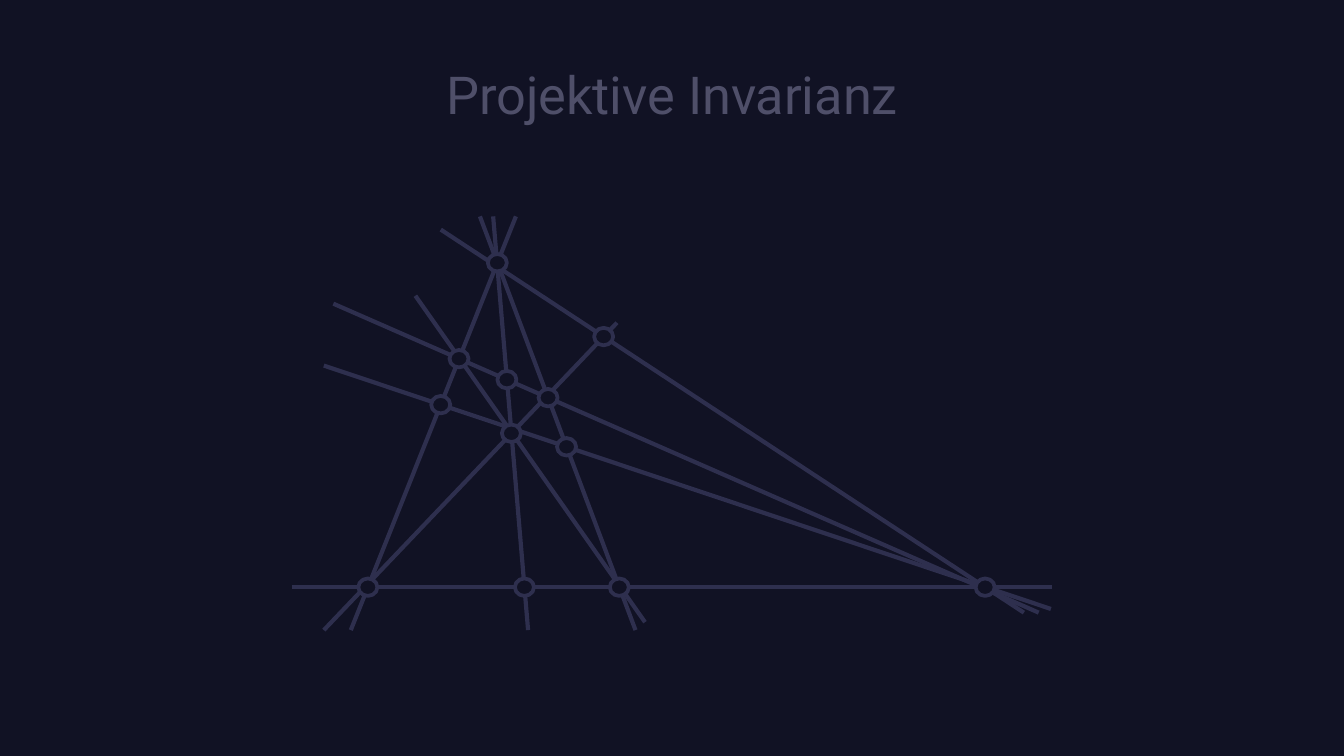
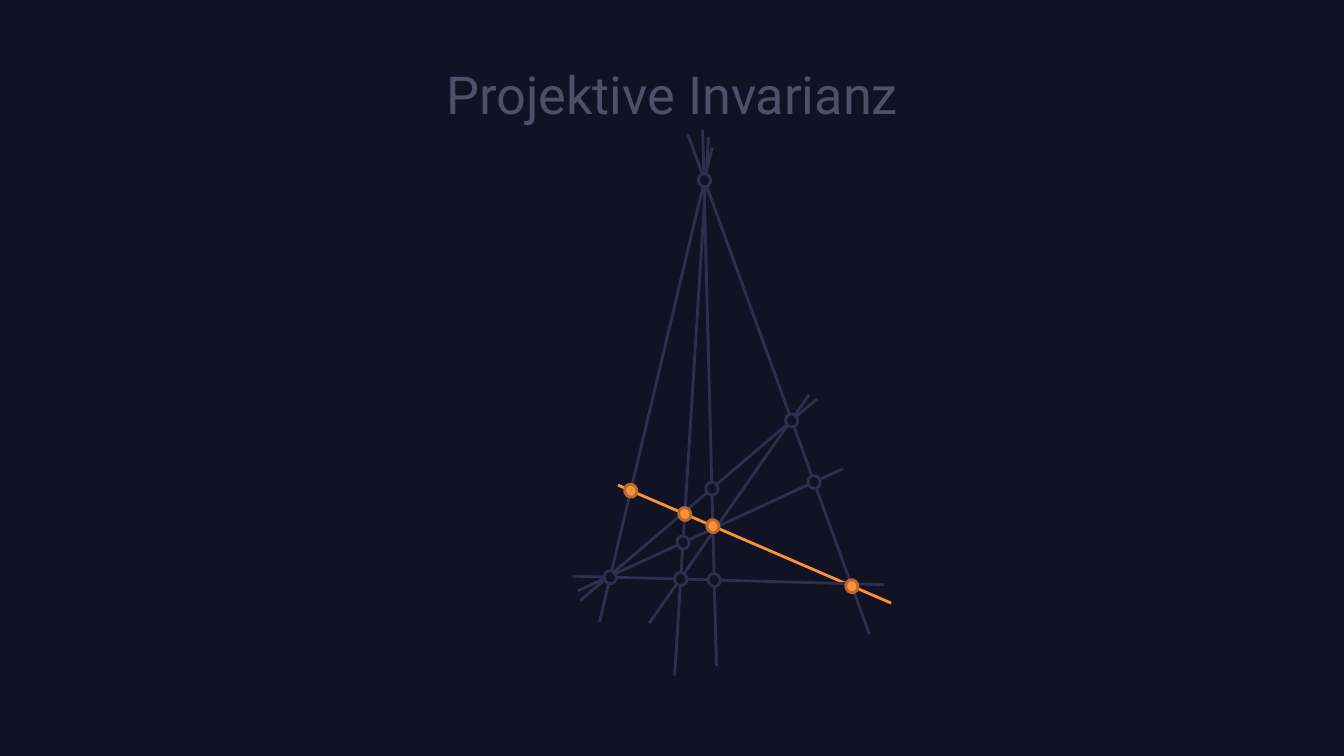
"""Build two slides on projective invariance."""
from dataclasses import dataclass

import pptx
import pptx.dml.color
import pptx.enum.shapes
import pptx.enum.text
import pptx.oxml
import pptx.util

Cm = pptx.util.Cm


@dataclass(frozen=True)
class Theme:
    """Colours, type and shared places."""
    background: str = "111224"
    line: str = "2E2F4E"
    title: str = "4F4F69"
    accent: str = "FB9237"
    accent_edge: str = "B96A26"
    font: str = "Roboto"
    title_size: float = 28
    title_box: tuple = (1.27, 0.58, 22.86, 2.39)


@dataclass(frozen=True)
class Figure:
    """Lines by name, the crossings to mark, and their drawing style."""
    box: tuple
    lines: dict
    crossings: list
    point_size: tuple
    line_width: float
    point_width: float
    rotation: float = 0
    thin: str = ""
    highlight: str = ""


THEME = Theme()

PERSPECTIVE = Figure(
    box=(5.51, 4.09),
    lines={
        "middle": (3.81, 0, 4.47, 7.82),
        "rising": (6.15, 2.01, 0.61, 7.82),
        "falling": (2.34, 1.5, 6.68, 7.67),
        "lower ray": (0.61, 2.82, 14.35, 7.42),
        "upper ray": (0.79, 1.65, 14.12, 7.49),
        "left": (4.24, 0, 1.12, 7.82),
        "right": (3.56, 0, 6.5, 7.82),
        "outer ray": (2.82, 0.25, 13.84, 7.49),
        "base": (0, 7.01, 14.38, 7.01),
    },
    crossings=[
        ("left", "right"), ("base", "outer ray"), ("base", "right"),
        ("base", "middle"), ("base", "left"), ("middle", "rising"),
        ("right", "lower ray"), ("left", "lower ray"), ("left", "upper ray"),
        ("middle", "upper ray"), ("right", "upper ray"),
        ("outer ray", "rising"),
    ],
    point_size=(0.36, 0.33), line_width=2.25, point_width=2, thin="base",
)

INVARIANCE = Figure(
    box=(10.82, 2.46),
    lines={
        "lower ray": (0.1, 8.71, 5.11, 6.4),
        "transversal": (0.86, 6.71, 6.02, 8.94),
        "diagonal": (1.45, 9.32, 4.47, 5),
        "inner right": (2.72, 10.13, 2.46, 0),
        "inner left": (1.93, 10.31, 2.57, 0.13),
        "base": (0, 8.43, 5.89, 8.59),
        "upper ray": (0.15, 8.89, 4.62, 5.08),
        "left": (0.51, 9.3, 2.64, 0.33),
        "right": (5.61, 9.53, 2.18, 0.08),
    },
    crossings=[
        ("left", "base"), ("left", "right"), ("right", "upper ray"),
        ("right", "lower ray"), ("right", "transversal"),
        ("inner right", "transversal"), ("inner right", "upper ray"),
        ("inner right", "base"), ("inner left", "base"),
        ("inner left", "lower ray"), ("inner left", "transversal"),
        ("left", "transversal"),
    ],
    point_size=(0.25, 0.23), line_width=1.5, point_width=1.5,
    rotation=250, highlight="transversal",
)


def rgb(value):
    """Return a colour object for a hex string."""
    return pptx.dml.color.RGBColor.from_string(value)


def style_line(line, color, width):
    """Set the colour and the width in points of a line."""
    line.color.rgb = rgb(color)
    line.width = pptx.util.Pt(width)


def add_text(slide, box, text, *, size, color, font):
    """Add centred text in the middle of a box."""
    shape = slide.shapes.add_textbox(*map(Cm, box))
    frame = shape.text_frame
    frame.word_wrap = True
    frame.vertical_anchor = pptx.enum.text.MSO_ANCHOR.MIDDLE
    paragraph = frame.paragraphs[0]
    paragraph.alignment = pptx.enum.text.PP_ALIGN.CENTER
    run = paragraph.add_run()
    run.text = text
    run.font.name = font
    run.font.size = pptx.util.Pt(size)
    run.font.color.rgb = rgb(color)


def add_line(group, ends, color, width):
    """Add a straight line without a shadow."""
    connector = group.shapes.add_connector(
        pptx.enum.shapes.MSO_CONNECTOR.STRAIGHT, *map(Cm, ends))
    style_line(connector.line, color, width)
    properties = connector._element.spPr
    properties.append(pptx.oxml.parse_xml(
        '<a:effectLst xmlns:a='
        '"http://schemas.openxmlformats.org/drawingml/2006/main"/>'))


def add_point(group, center, figure, fill, edge):
    """Add a round mark about a centre."""
    width, height = figure.point_size
    shape = group.shapes.add_shape(
        pptx.enum.shapes.MSO_SHAPE.OVAL, Cm(center[0] - width / 2),
        Cm(center[1] - height / 2), Cm(width), Cm(height))
    shape.shadow.inherit = False
    shape.rotation = figure.rotation
    shape.fill.solid()
    shape.fill.fore_color.rgb = rgb(fill)
    style_line(shape.line, edge, figure.point_width)


def intersect(first, second):
    """Return the point where two lines cross."""
    x1, y1, x2, y2 = first
    x3, y3, x4, y4 = second
    dx, dy, ex, ey = x2 - x1, y2 - y1, x4 - x3, y4 - y3
    share = ((x3 - x1) * ey - (y3 - y1) * ex) / (dx * ey - dy * ex)
    return x1 + share * dx, y1 + share * dy


def add_figure(slide, figure):
    """Draw a figure's lines and mark their crossings."""
    left, top = figure.box
    group = slide.shapes.add_group_shape()
    placed = {name: (x1 + left, y1 + top, x2 + left, y2 + top)
              for name, (x1, y1, x2, y2) in figure.lines.items()}
    for name, ends in placed.items():
        color = THEME.accent if name == figure.highlight else THEME.line
        width = figure.point_width if name == figure.thin else figure.line_width
        add_line(group, ends, color, width)
    for names in figure.crossings:
        colors = (THEME.background, THEME.line)
        if figure.highlight in names:
            colors = (THEME.accent, THEME.accent_edge)
        center = intersect(*(placed[name] for name in names))
        add_point(group, center, figure, *colors)


def add_figure_slide(presentation, title, figure):
    """Add a dark slide with a title and a figure."""
    slide = presentation.slides.add_slide(presentation.slide_layouts[6])
    slide.background.fill.solid()
    slide.background.fill.fore_color.rgb = rgb(THEME.background)
    add_text(slide, THEME.title_box, title, size=THEME.title_size,
             color=THEME.title, font=THEME.font)
    add_figure(slide, figure)


def main():
    """Build and save the presentation."""
    presentation = pptx.Presentation()
    presentation.slide_width = Cm(25.4)
    presentation.slide_height = Cm(14.29)
    for figure in (PERSPECTIVE, INVARIANCE):
        add_figure_slide(presentation, "Projektive Invarianz", figure)
    presentation.save("out.pptx")


main()
